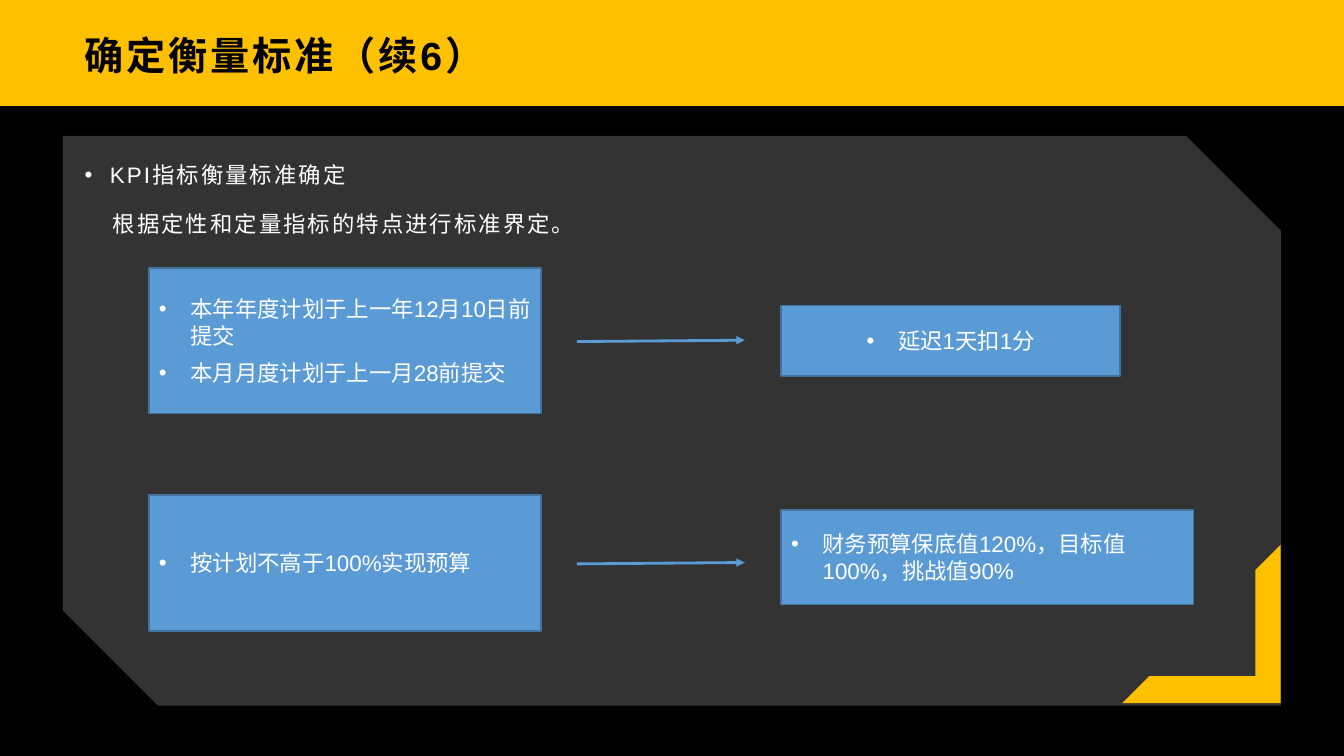
from lxml.etree import SubElement
from pptx import Presentation
from pptx.dml.color import RGBColor
from pptx.enum.shapes import MSO_CONNECTOR, MSO_SHAPE
from pptx.enum.text import MSO_ANCHOR, MSO_AUTO_SIZE, PP_ALIGN
from pptx.oxml.ns import qn
from pptx.util import Pt

GOLD, BLACK, WHITE = "FFC000", "000000", "FFFFFF"
BLUE, BLUE_EDGE = "5B9BD5", "43739E"


def colour(value):
    return RGBColor.from_string(value)


def apply(target, formats):
    for key, value in formats.items():
        setattr(target, key, value)


class KpiSlide:
    font = "Arial"

    def __init__(self, deck):
        self.slide = deck.slides.add_slide(deck.slide_layouts[5])

    def background(self, top, bottom, split):
        fill = self.slide.background.fill
        fill.gradient()
        fill.gradient_angle = 270
        for stop, value in zip(fill.gradient_stops, (top, bottom)):
            stop.position = split
            stop.color.rgb = colour(value)

    def place(self, element, left, top, width, height):
        apply(element, dict(left=Pt(left), top=Pt(top), width=Pt(width), height=Pt(height)))

    def frame(self, element, anchor, insets):
        sides = ("margin_left", "margin_top", "margin_right", "margin_bottom")
        apply(element.text_frame, dict(
            word_wrap=True, auto_size=MSO_AUTO_SIZE.NONE, vertical_anchor=anchor,
            **{side: Pt(inset) for side, inset in zip(sides, insets)}))
        return element.text_frame

    def wording(self, paragraph, text, size=16, ink=WHITE, bold=False, tracking=0,
                left=0, hanging=0, **formats):
        apply(paragraph, {"alignment": PP_ALIGN.LEFT, **formats})
        properties = paragraph._p.get_or_add_pPr()
        properties.set("marL", str(Pt(left)))
        properties.set("indent", str(-Pt(hanging)))
        if hanging:
            SubElement(properties, qn("a:buFont")).set("typeface", self.font)
            SubElement(properties, qn("a:buChar")).set("char", "•")
        run = paragraph.add_run()
        run.text = text
        apply(run.font, dict(name=self.font, size=Pt(size), bold=bold))
        run.font.color.rgb = colour(ink)
        run_properties = run._r.get_or_add_rPr()
        SubElement(run_properties, qn("a:ea")).set("typeface", self.font)
        if tracking:
            run_properties.set("spc", str(int(tracking * 100)))

    def title(self, text, *box):
        heading = self.slide.shapes.title
        self.place(heading, *box)
        frame = self.frame(heading, MSO_ANCHOR.MIDDLE, (7.9, 2.9, 5.8, 2.9))
        self.wording(frame.paragraphs[0], text, size=28, ink=BLACK, bold=True, tracking=2)

    def intro(self, topic, explanation, *box):
        body = self.slide.shapes.add_textbox(*map(Pt, box))
        frame = self.frame(body, MSO_ANCHOR.TOP, (7.9, 0, 6.5, 0))
        spacing = dict(tracking=1.5, line_spacing=1.3, space_after=Pt(10))
        self.wording(frame.paragraphs[0], topic, left=18, hanging=18, **spacing)
        self.wording(frame.add_paragraph(), explanation, left=20, **spacing)

    def shape(self, kind, fill, *box, edge=None, opacity=None):
        shape = self.slide.shapes.add_shape(kind, *map(Pt, box))
        shape.shadow.inherit = False
        shape.fill.solid()
        shape.fill.fore_color.rgb = colour(fill)
        if opacity is not None:
            paint = shape._element.spPr.find(".//" + qn("a:srgbClr"))
            SubElement(paint, qn("a:alpha")).set("val", str(opacity * 1000))
        if edge:
            shape.line.color.rgb = colour(edge)
            shape.line.width = Pt(1)
        else:
            shape.line.fill.background()
        return shape

    def card(self, items, box, align=PP_ALIGN.LEFT):
        card = self.shape(MSO_SHAPE.RECTANGLE, BLUE, *box, edge=BLUE_EDGE)
        frame = self.frame(card, MSO_ANCHOR.MIDDLE, (7.2, 3.6, 7.2, 3.6))
        for index, item in enumerate(items):
            paragraph = frame.add_paragraph() if index else frame.paragraphs[0]
            gap = {"space_before": Pt(7)} if index else {}
            self.wording(paragraph, item, left=22.5, hanging=22.5, alignment=align, **gap)

    def arrow(self, *ends):
        arrow = self.slide.shapes.add_connector(MSO_CONNECTOR.STRAIGHT, *map(Pt, ends))
        arrow.line.color.rgb = colour(BLUE)
        arrow.line.width = Pt(2)
        outline = arrow._element.spPr.find(qn("a:ln"))
        SubElement(outline, qn("a:tailEnd")).set("type", "triangle")
        SubElement(arrow._element.spPr, qn("a:effectLst"))


def main():
    deck = Presentation()
    apply(deck, dict(slide_width=Pt(960), slide_height=Pt(540)))
    page = KpiSlide(deck)
    page.background(GOLD, BLACK, 0.14)
    page.shape(MSO_SHAPE.SNIP_2_DIAG_RECTANGLE, WHITE, 45, 97, 870, 407, opacity=20)
    page.title("确定衡量标准（续6）", 52.6, 13.7, 854.6, 51.1)
    page.intro("KPI指标衡量标准确定", "根据定性和定量指标的特点进行标准界定。",
               52.6, 109.4, 854.6, 389.5)

    rules = [
        (["本年年度计划于上一年12月10日前提交", "本月月度计划于上一月28前提交"], 191.5, 103.7,
         "延迟1天扣1分", 218.2, 242, 50.4, PP_ALIGN.CENTER, 244),
        (["按计划不高于100%实现预算"], 353.5, 97.2,
         "财务预算保底值120%，目标值100%，挑战值90%", 364.3, 294.5, 67.7, PP_ALIGN.LEFT, 402.8),
    ]
    for (targets, target_top, target_height, score, score_top, score_width,
         score_height, score_align, arrow_y) in rules:
        page.card(targets, (106.5, target_top, 280, target_height))
        page.card([score], (558, score_top, score_width, score_height), score_align)
        page.arrow(412, arrow_y, 532, arrow_y - 1)

    corner = page.shape(MSO_SHAPE.HALF_FRAME, GOLD, 801.6, 389, 113.2, 113.2)
    corner.rotation = 180
    for index, ratio in enumerate((0.17, 0.16)):
        corner.adjustments[index] = ratio
    deck.save("out.pptx")


if __name__ == "__main__":
    main()
